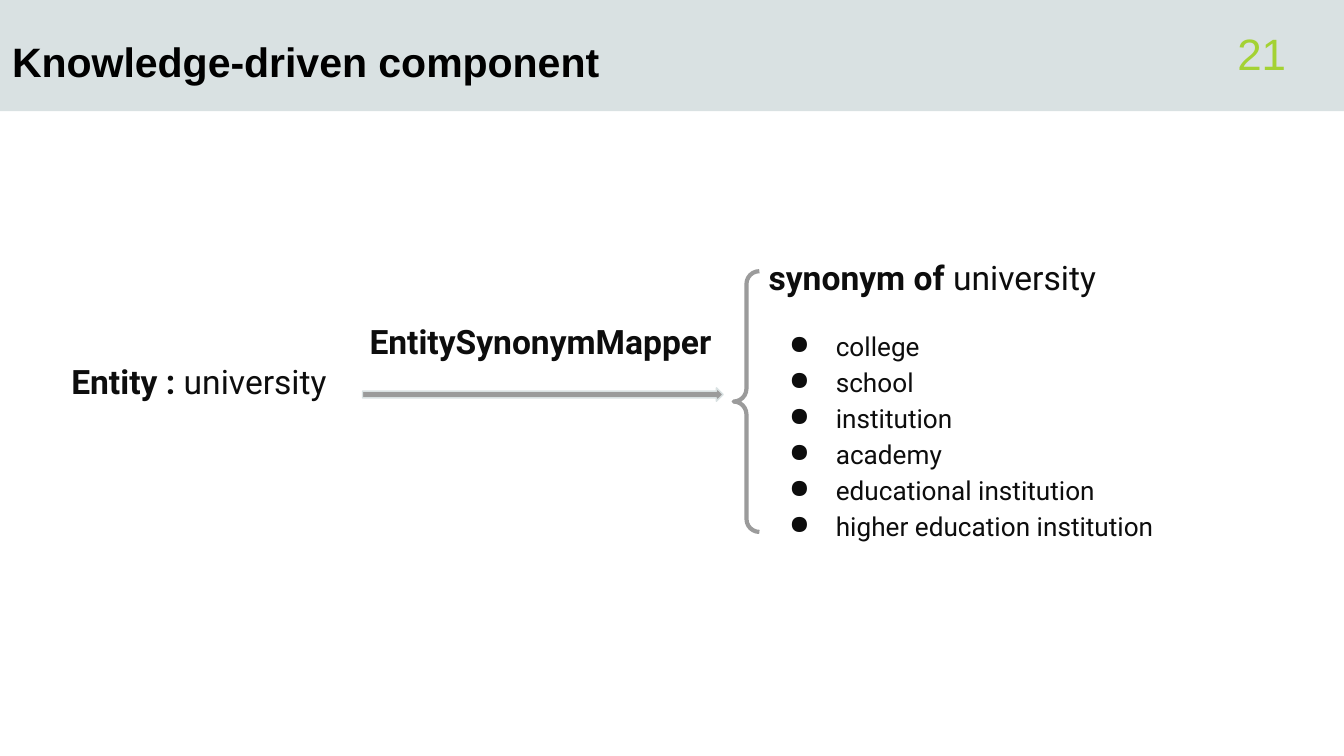
import pptx
import pptx.util
import pptx.dml.color
import pptx.enum.shapes
import pptx.enum.text
import pptx.oxml.ns
import lxml.etree

Pt = pptx.util.Pt
RGB = pptx.dml.color.RGBColor
Kind = pptx.enum.shapes.MSO_SHAPE
Anchor = pptx.enum.text.MSO_ANCHOR
Align = pptx.enum.text.PP_ALIGN

BAND = RGB(0xD9, 0xE1, 0xE2)
BLACK = RGB(0, 0, 0)
INK = RGB(0x0D, 0x0D, 0x0D)
LIME = RGB(0xA4, 0xD2, 0x33)
GREY = RGB(0x9B, 0x9B, 0x9B)


def write(para, text, size=18, font="Roboto", color=INK, bold=False):
    run = para.add_run()
    run.text = text
    run.font.size = Pt(size)
    run.font.name = font
    run.font.color.rgb = color
    run.font.bold = bold


def frame(left, top, width, height, anchor=Anchor.TOP):
    """Add a text box without margins and return its text frame."""
    body = slide.shapes.add_textbox(Pt(left), Pt(top), Pt(width), Pt(height)).text_frame
    body.margin_left = body.margin_top = body.margin_right = body.margin_bottom = 0
    body.word_wrap = True
    body.vertical_anchor = anchor
    return body


deck = pptx.Presentation()
deck.slide_width, deck.slide_height = Pt(720), Pt(405)
slide = deck.slides.add_slide(deck.slide_layouts[6])

# Header
band = slide.shapes.add_shape(Kind.RECTANGLE, 0, 0, Pt(720), Pt(59.5))
band.shadow.inherit = False
band.fill.solid()
band.fill.fore_color.rgb = BAND
band.line.fill.background()

title = frame(6.5, 10.8, 738.7, 35.3, Anchor.BOTTOM).paragraphs[0]
write(title, "Knowledge-driven component", size=22, font="Arial", color=BLACK, bold=True)

number = frame(600.5, 16.5, 88.5, 24, Anchor.MIDDLE).paragraphs[0]
number.alignment = Align.RIGHT
write(number, "21", size=23.5, font="Arial", color=LIME)

# Entity and mapper labels
entity = frame(38.2, 190.1, 142.5, 43).paragraphs[0]
entity.line_spacing = 1.15
entity.space_before = Pt(15)
write(entity, "Entity :", bold=True)
write(entity, " university")

mapper = frame(198, 172.1, 191, 31.7).paragraphs[0]
write(mapper, "EntitySynonymMapper", bold=True)

# Synonyms
result = frame(411.8, 134.6, 218.2, 161.3)
head = result.paragraphs[0]
head.line_spacing = 1.15
head.space_before = Pt(15)
write(head, "synonym of", bold=True)
write(head, " university")

words = ["college", "school", "institution", "academy",
         "educational institution", "higher education institution"]
for index, word in enumerate(words):
    item = result.add_paragraph()
    item.line_spacing = 1.15
    item.space_before = Pt(0 if index else 15)
    write(item, word, size=14)
    props = item._p.get_or_add_pPr()
    props.set("marL", str(Pt(36)))
    props.set("indent", str(-Pt(25)))
    tint = lxml.etree.SubElement(props, pptx.oxml.ns.qn("a:buClr"))
    lxml.etree.SubElement(tint, pptx.oxml.ns.qn("a:srgbClr"), val=str(INK))
    lxml.etree.SubElement(props, pptx.oxml.ns.qn("a:buChar"), char="●")

# Arrow and brace
arrow = slide.shapes.add_shape(Kind.RIGHT_ARROW, Pt(194.2), Pt(207.8), Pt(193.2), Pt(7.2))
arrow.shadow.inherit = False
arrow.fill.solid()
arrow.fill.fore_color.rgb = GREY
arrow.line.color.rgb = BAND
arrow.line.width = Pt(0.75)

brace = slide.shapes.add_shape(Kind.LEFT_BRACE, Pt(393), Pt(145.3), Pt(13.8), Pt(139.7))
brace.shadow.inherit = False
brace.adjustments[0] = 0.5
brace.fill.background()
brace.line.color.rgb = GREY
brace.line.width = Pt(2.25)

deck.save("out.pptx")
